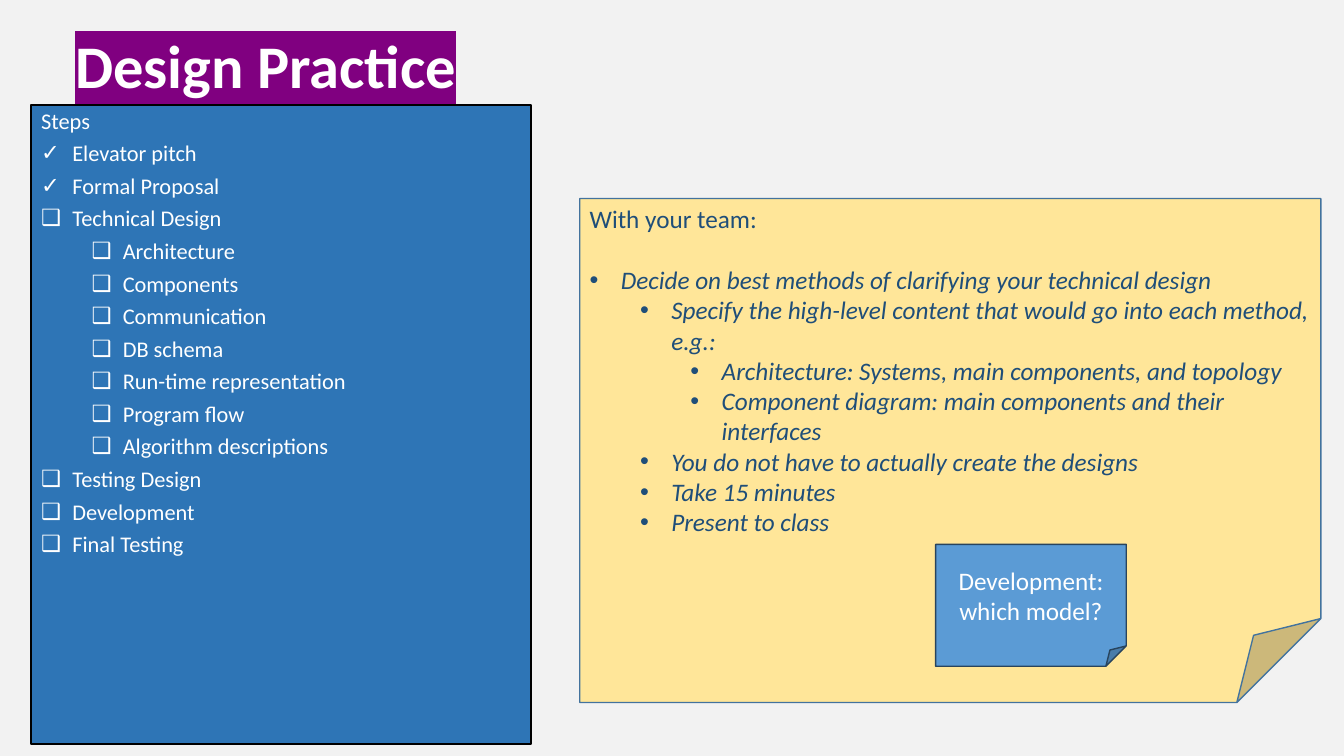
from dataclasses import dataclass

from lxml import etree
from pptx import Presentation
from pptx.dml.color import RGBColor
from pptx.enum.shapes import MSO_SHAPE
from pptx.enum.text import MSO_ANCHOR, PP_ALIGN
from pptx.oxml.ns import qn
from pptx.util import Inches, Pt

RECTANGLE, FOLDED = MSO_SHAPE.RECTANGLE, MSO_SHAPE.FOLDED_CORNER
TOP, MIDDLE, BOTTOM = MSO_ANCHOR.TOP, MSO_ANCHOR.MIDDLE, MSO_ANCHOR.BOTTOM
LEFT, CENTER = PP_ALIGN.LEFT, PP_ALIGN.CENTER


@dataclass(frozen=True)
class Theme:
    font: str = "Calibri"
    bullet_font: str = "Arial"
    page: str = "F2F2F2"
    white: str = "FFFFFF"
    purple: str = "800080"
    steps_fill: str = "2E75B6"
    steps_line: str = "000000"
    task_fill: str = "FFE699"
    task_line: str = "43739E"
    task_text: str = "1F4E79"
    note_fill: str = "5B9BD5"
    note_line: str = "28445D"
    title_size: float = 43.2
    steps_size: float = 16
    task_size: float = 18


THEME = Theme()
DONE, OPEN, DOT = "✓", "❑", "•"
HANG = 0.31
LEVEL_STEP = 0.5

# Each item is (level, bullet, text).
STEPS = [
    (0, DONE, "Elevator pitch"),
    (0, DONE, "Formal Proposal"),
    (0, OPEN, "Technical Design"),
    (1, OPEN, "Architecture"),
    (1, OPEN, "Components"),
    (1, OPEN, "Communication"),
    (1, OPEN, "DB schema"),
    (1, OPEN, "Run-time representation"),
    (1, OPEN, "Program flow"),
    (1, OPEN, "Algorithm descriptions"),
    (0, OPEN, "Testing Design"),
    (0, OPEN, "Development"),
    (0, OPEN, "Final Testing"),
]
TASKS = [
    (0, DOT, "Decide on best methods of clarifying your technical design"),
    (1, DOT, "Specify the high-level content that would go into each method, e.g.:"),
    (2, DOT, "Architecture: Systems, main components, and topology"),
    (2, DOT, "Component diagram: main components and their interfaces"),
    (1, DOT, "You do not have to actually create the designs"),
    (1, DOT, "Take 15 minutes"),
    (1, DOT, "Present to class"),
]


def apply(target, values):
    for name, value in values.items():
        setattr(target, name, value)


def prepare_frame(box, anchor):
    frame = box.text_frame
    apply(frame, {"word_wrap": True, "vertical_anchor": anchor})
    return frame


def add_panel(page, kind, place, fill, line, width, anchor=TOP):
    """Add a filled, outlined shape and return its text frame."""
    panel = page.shapes.add_shape(kind, *map(Inches, place))
    panel.shadow.inherit = False
    panel.fill.solid()
    panel.fill.fore_color.rgb = RGBColor.from_string(fill)
    panel.line.color.rgb = RGBColor.from_string(line)
    panel.line.width = Pt(width)
    return prepare_frame(panel, anchor)


def write(para, text, size, color, layout, **font):
    """Fill a paragraph with one run; layout holds paragraph format values."""
    apply(para, {"alignment": LEFT, **layout})
    run = para.add_run()
    run.text = text
    apply(run.font, {"name": THEME.font, "size": Pt(size), **font})
    run.font.color.rgb = RGBColor.from_string(color)
    return run


def add_bullet(para, level, symbol):
    para.level = level
    properties = para._p.get_or_add_pPr()
    properties.set("marL", str(Inches(HANG + level * LEVEL_STEP)))
    properties.set("indent", str(-Inches(HANG)))
    etree.SubElement(properties, qn("a:buFont"), typeface=THEME.bullet_font)
    etree.SubElement(properties, qn("a:buChar"), char=symbol)


def write_list(frame, items, size, color, layout, **font):
    for level, symbol, text in items:
        para = frame.add_paragraph()
        add_bullet(para, level, symbol)
        write(para, text, size, color, layout, **font)


def highlight(run, color):
    mark = etree.Element(qn("a:highlight"))
    etree.SubElement(mark, qn("a:srgbClr"), val=color)
    run._r.rPr.find(qn("a:solidFill")).addnext(mark)


def add_title(page):
    box = page.shapes.add_textbox(*map(Inches, (0, 0.39, 5.27, 0.67)))
    para = prepare_frame(box, BOTTOM).paragraphs[0]
    run = write(para, "Design Practice", THEME.title_size, THEME.white,
                {"alignment": CENTER, "line_spacing": 0.9}, bold=True)
    highlight(run, THEME.purple)


def add_steps(page):
    frame = add_panel(page, RECTANGLE, (0.31, 1.04, 4.96, 6.34),
                      THEME.steps_fill, THEME.steps_line, 1.5)
    style = (THEME.steps_size, THEME.white,
             {"line_spacing": 0.9, "space_after": Pt(6)})
    write(frame.paragraphs[0], "Steps", *style)
    write_list(frame, STEPS, *style)


def add_tasks(page):
    frame = add_panel(page, FOLDED, (5.75, 1.97, 7.35, 5),
                      THEME.task_fill, THEME.task_line, 1)
    style = (THEME.task_size, THEME.task_text)
    write(frame.paragraphs[0], "With your team:", *style,
          {"space_after": Pt(22)})
    write_list(frame, TASKS, *style, {}, italic=True)


def add_note(page):
    frame = add_panel(page, FOLDED, (9.28, 5.4, 1.89, 1.21),
                      THEME.note_fill, THEME.note_line, 1, MIDDLE)
    write(frame.paragraphs[0], "Development: which model?", THEME.task_size,
          THEME.white, {"alignment": CENTER})


def main():
    deck = Presentation()
    apply(deck, {"slide_width": Inches(13.33), "slide_height": Inches(7.5)})
    page = deck.slides.add_slide(deck.slide_layouts[6])
    page.background.fill.solid()
    page.background.fill.fore_color.rgb = RGBColor.from_string(THEME.page)
    add_title(page)
    add_steps(page)
    add_tasks(page)
    add_note(page)
    deck.save("out.pptx")


if __name__ == "__main__":
    main()
